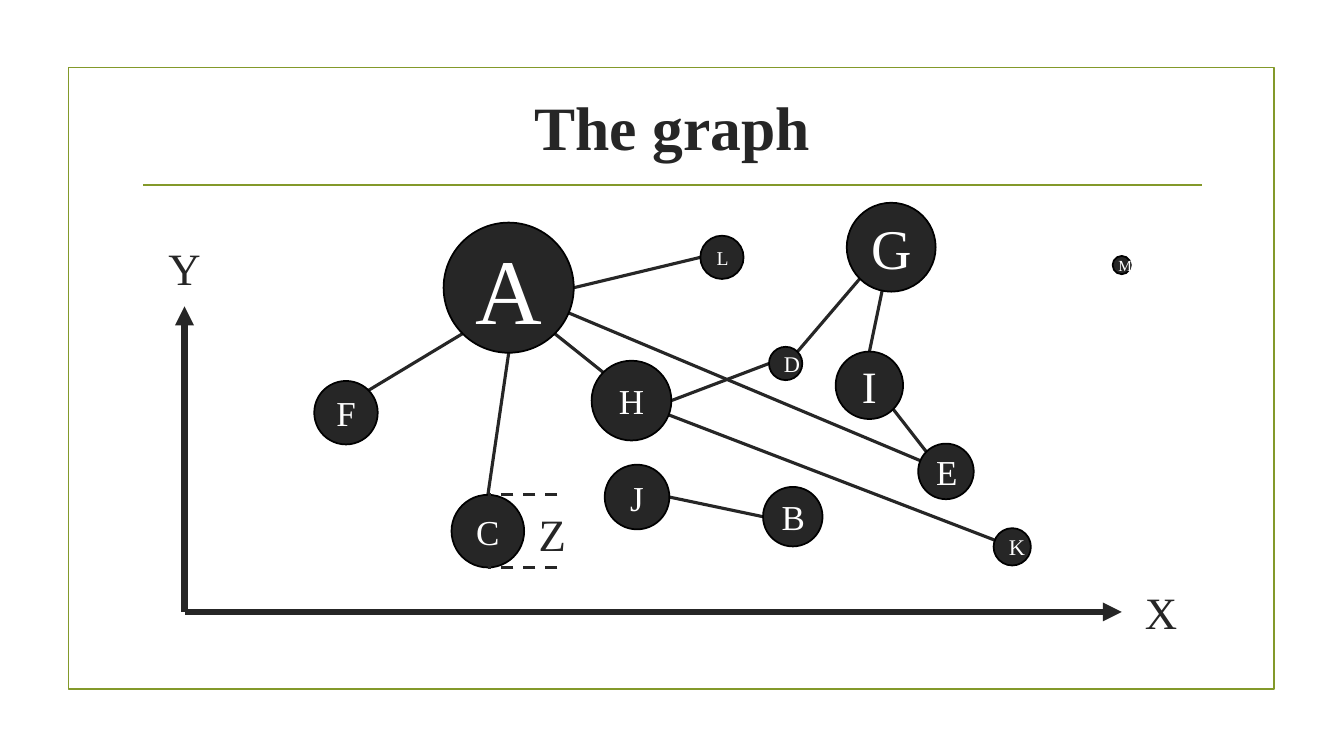
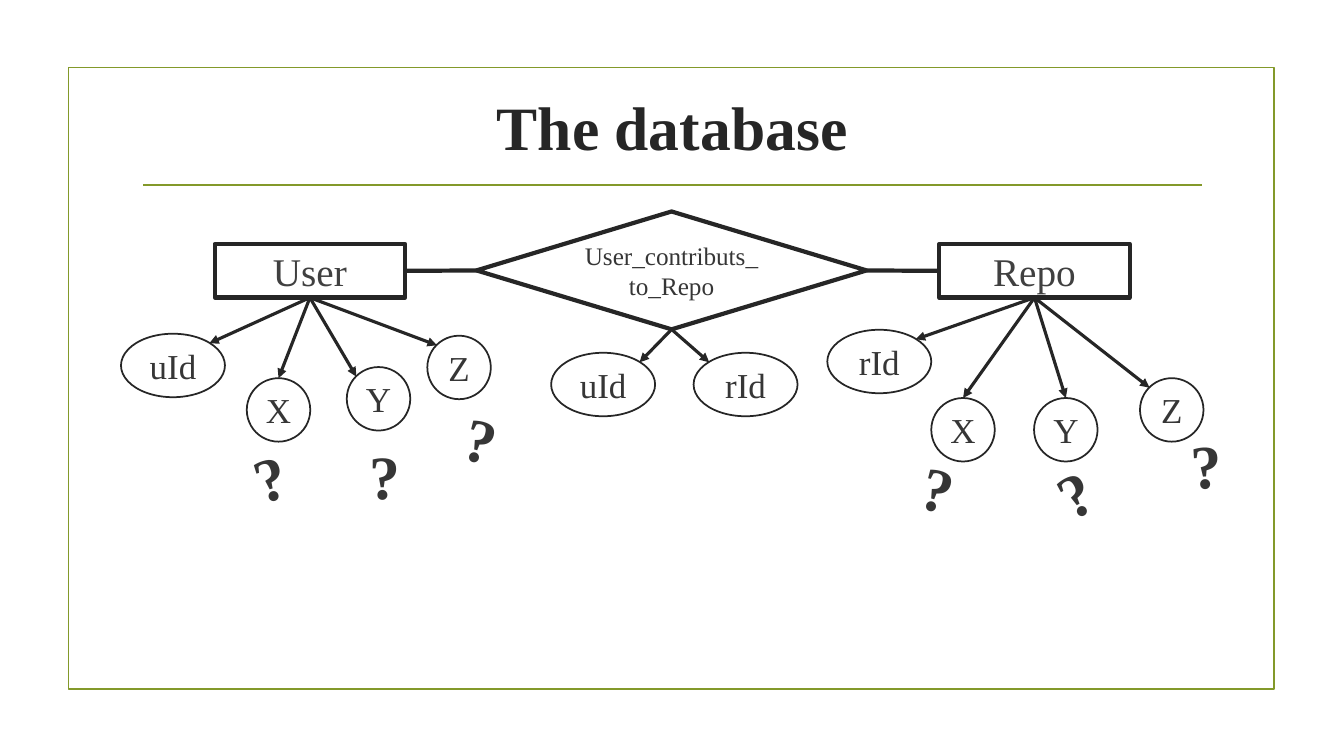
from pptx import Presentation
from pptx.dml.color import RGBColor
from pptx.enum.dml import MSO_LINE
from pptx.enum.shapes import MSO_CONNECTOR, MSO_SHAPE
from pptx.enum.text import MSO_ANCHOR, PP_ALIGN
from pptx.oxml.ns import qn
from pptx.util import Cm, Pt
from lxml.etree import SubElement

OLIVE = RGBColor(0x83, 0x99, 0x2A)
INK = RGBColor(0x26, 0x26, 0x26)
GREY = RGBColor(0x36, 0x36, 0x36)
ENTITY_GREY = RGBColor(0x40, 0x40, 0x40)
BLACK = RGBColor(0, 0, 0)
WHITE = RGBColor(0xFF, 0xFF, 0xFF)
FONT = "Times New Roman"

# Points of a shape as fractions of its width and height
CENTRE, TOP, BOTTOM, LEFT, RIGHT = (0.5, 0.5), (0.5, 0), (0.5, 1), (0, 0.5), (1, 0.5)
TOP_LEFT, TOP_RIGHT = (0.15, 0.15), (0.85, 0.15)
BOTTOM_LEFT, BOTTOM_RIGHT = (0.15, 0.85), (0.85, 0.85)


def add_item(slide, kind, box, text="", size=25, color=INK, bold=False,
             fill=None, line=INK, width=1.25, align=PP_ALIGN.CENTER):
    """Add a preset shape, or a text box when kind is None; box is in cm."""
    place = [Cm(value) for value in box]
    if kind is None:
        item = slide.shapes.add_textbox(*place)
    else:
        item = slide.shapes.add_shape(kind, *place)
        item.shadow.inherit = False
        item.line.color.rgb = line
        item.line.width = Pt(width)
        if fill is None:
            item.fill.background()
        else:
            item.fill.solid()
            item.fill.fore_color.rgb = fill
    if text:
        item.text_frame.word_wrap = True
        paragraph = item.text_frame.paragraphs[0]
        paragraph.text = text
        paragraph.alignment = align
        font = paragraph.font
        font.name, font.size, font.bold = FONT, Pt(size), bold
        font.color.rgb = color
    return item


def add_line(slide, start, end, width=2.25, color=INK, arrow=False):
    """Draw a straight line between two points in cm."""
    line = slide.shapes.add_connector(
        MSO_CONNECTOR.STRAIGHT, *[Cm(value) for value in (*start, *end)])
    line.line.color.rgb = color
    line.line.width = Pt(width)
    if arrow:
        SubElement(line.line._get_or_add_ln(), qn("a:tailEnd"), type="triangle")
    SubElement(line._element.spPr, qn("a:effectLst"))
    return line


prs = Presentation()
prs.slide_width, prs.slide_height = Cm(33.87), Cm(19.05)

slides = []
for title in ("The graph", "The database"):
    slide = prs.slides.add_slide(prs.slide_layouts[6])
    add_item(slide, MSO_SHAPE.RECTANGLE, (1.73, 1.7, 30.38, 15.67), line=OLIVE)
    add_line(slide, (3.61, 4.67), (30.28, 4.67), 1.5, OLIVE)
    heading = add_item(slide, None, (3.61, 1.68, 26.67, 2.97), title, 44, bold=True)
    heading.text_frame.vertical_anchor = MSO_ANCHOR.MIDDLE
    slides.append(slide)
graph, database = slides

# The graph: axes, links, nodes
origin = (4.65, 15.42)
for axis_end in ((4.65, 7.72), (28.27, 15.42)):
    add_line(graph, origin, axis_end, 4.5, arrow=True)

# name: left, top, diameter, text size
nodes = {
    "F": (7.92, 9.6, 1.6, 25),
    "D": (19.38, 8.74, 0.84, 16),
    "C": (11.38, 12.47, 1.83, 25),
    "L": (17.65, 5.94, 1.09, 14),
    "I": (21.06, 8.86, 1.7, 32),
    "B": (19.23, 12.27, 1.5, 25),
    "J": (15.24, 11.71, 1.63, 25),
    "M": (28.04, 6.45, 0.46, 11),
    "G": (21.34, 5.11, 2.24, 40),
    "H": (14.91, 9.09, 2.01, 25),
    "A": (11.18, 5.61, 3.28, 66),
    "E": (23.14, 11.18, 1.4, 25),
    "K": (25.04, 13.31, 0.94, 16),
}
links = [
    ("F", TOP_RIGHT, "A", BOTTOM_LEFT),
    ("L", LEFT, "A", RIGHT),
    ("H", TOP_LEFT, "A", BOTTOM_RIGHT),
    ("C", TOP, "A", BOTTOM),
    ("E", CENTRE, "A", CENTRE),
    ("D", LEFT, "H", RIGHT),
    ("D", TOP_RIGHT, "G", BOTTOM_LEFT),
    ("G", CENTRE, "I", TOP),
    ("B", LEFT, "J", RIGHT),
    ("I", BOTTOM_RIGHT, "E", TOP_LEFT),
    ("H", CENTRE, "K", CENTRE),
]
for first, first_point, second, second_point in links:
    ends = []
    for name, (across, down) in ((first, first_point), (second, second_point)):
        left, top, diameter, _ = nodes[name]
        ends.append((left + diameter * across, top + diameter * down))
    add_line(graph, *ends)

for name, (left, top, diameter, size) in nodes.items():
    add_item(graph, MSO_SHAPE.OVAL, (left, top, diameter, diameter), name, size,
             WHITE, fill=INK, line=BLACK)

# Z is the height of node C
left, top, diameter, _ = nodes["C"]
middle = left + diameter / 2
for y in (top, top + diameter):
    edge = add_line(graph, (middle + 1.75, y), (middle, y))
    edge.line.dash_style = MSO_LINE.DASH

for name, left, top in (("Y", 3.89, 5.94), ("X", 28.5, 14.61), ("Z", 13.16, 12.65)):
    add_item(graph, None, (left, top, 1.52, 1.63), name, 32)

# The database: entities, relationship, attributes
user = add_item(database, MSO_SHAPE.RECTANGLE, (5.41, 6.15, 4.8, 1.35), "User", 28,
                ENTITY_GREY, width=3)
repo = add_item(database, MSO_SHAPE.RECTANGLE, (23.67, 6.15, 4.8, 1.35), "Repo", 28,
                ENTITY_GREY, width=3)
contributes = add_item(database, MSO_SHAPE.DIAMOND, (12.01, 5.33, 9.83, 2.97),
                       "User_contributs_to_Repo", 18, GREY, width=3)
for entity, entity_side, diamond_side in ((user, 3, 1), (repo, 1, 3)):
    bond = add_line(database, (0, 0), (0, 0), 3)
    bond.begin_connect(contributes, diamond_side)
    bond.end_connect(entity, entity_side)

attributes = [
    (user, "uId", 3.05, 8.41, TOP_RIGHT),
    (user, "X", 6.22, 9.53, TOP),
    (user, "Y", 8.74, 9.25, TOP_LEFT),
    (user, "Z", 10.77, 8.46, TOP_LEFT),
    (contributes, "uId", 13.89, 8.89, TOP_RIGHT),
    (contributes, "rId", 17.48, 8.89, TOP_LEFT),
    (repo, "rId", 20.85, 8.31, TOP_RIGHT),
    (repo, "X", 23.47, 10.03, TOP),
    (repo, "Y", 26.06, 10.03, TOP),
    (repo, "Z", 28.73, 9.53, TOP_LEFT),
]
height = 1.6
for owner, name, left, top, (across, down) in attributes:
    width = 2.62 if name.endswith("Id") else height
    add_item(database, MSO_SHAPE.OVAL, (left, top, width, height), name, color=GREY)
    target = (left + width * across, top + height * down)
    arrow = add_line(database, target, target, arrow=True)
    arrow.begin_connect(owner, 2)

for left, top, angle in ((6.17, 10.92, -17.3), (9.07, 10.92, 0), (11.48, 10.03, 14.3),
                         (23.01, 11.25, 14.3), (26.44, 11.3, -28.1), (29.77, 10.64, -3.3)):
    doubt = add_item(database, None, (left, top, 1.5, 2.13), "?", 44, GREY, bold=True,
                     align=PP_ALIGN.LEFT)
    doubt.rotation = angle

prs.save("out.pptx")
